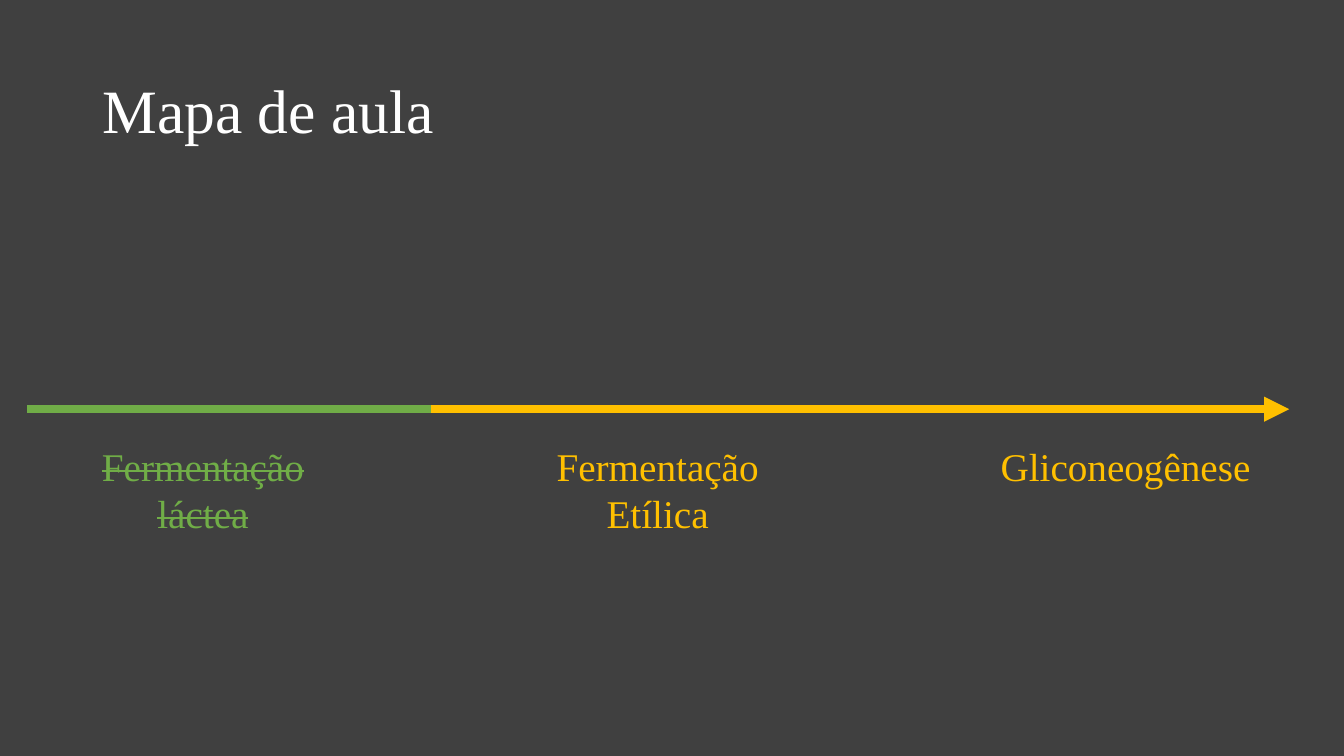
from dataclasses import dataclass

from lxml import etree
from pptx import Presentation
from pptx.dml.color import RGBColor
from pptx.enum.shapes import MSO_CONNECTOR
from pptx.enum.text import MSO_ANCHOR, PP_ALIGN
from pptx.oxml.ns import qn
from pptx.util import Cm, Pt

STRAIGHT = MSO_CONNECTOR.STRAIGHT
MIDDLE, TOP = MSO_ANCHOR.MIDDLE, MSO_ANCHOR.TOP
LEFT, CENTER = PP_ALIGN.LEFT, PP_ALIGN.CENTER


@dataclass(frozen=True)
class Theme:
    background: str = "404040"
    title: str = "FFFFFF"
    done: str = "70AD47"
    pending: str = "FFC000"
    font: str = "Times New Roman"
    title_size: int = 44
    topic_size: int = 28
    line_width: int = 6


THEME = Theme()
TITLE = "Mapa de aula"
TOPICS = [
    {"lines": ["Fermentação láctea"], "done": True, "width": 6.27, "height": 2.64},
    {"lines": ["Fermentação", "Etílica"], "done": False, "width": 6.27, "height": 2.64},
    {"lines": ["Gliconeogênese"], "done": False, "width": 6.93, "height": 1.45},
]
TOPIC_LEFT, TOPIC_TOP, TOPIC_PITCH = 1.98, 11.02, 11.46
LINE_START, LINE_Y = 0.69, 10.31
TIMELINE = [
    {"end": 32.49, "color": THEME.pending, "arrow": True},
    {"end": 10.87, "color": THEME.done, "arrow": False},
]


def add_segment(page, end, color, arrow):
    segment = page.shapes.add_connector(
        STRAIGHT, Cm(LINE_START), Cm(LINE_Y), Cm(end), Cm(LINE_Y))
    segment.line.color.rgb = RGBColor.from_string(color)
    segment.line.width = Pt(THEME.line_width)
    if arrow:
        etree.SubElement(segment.line._get_or_add_ln(), qn("a:tailEnd"), type="triangle")
    etree.SubElement(segment._element.spPr, qn("a:effectLst"))


def add_text(page, place, lines, size, color, align=CENTER, anchor=TOP,
             spacing=1.0, struck=False):
    box = page.shapes.add_textbox(*(Cm(length) for length in place))
    frame = box.text_frame
    frame.word_wrap = True
    frame.vertical_anchor = anchor
    for index, line in enumerate(lines):
        para = frame.add_paragraph() if index else frame.paragraphs[0]
        para.alignment = align
        para.line_spacing = spacing
        span = para.add_run()
        span.text = line
        span.font.name = THEME.font
        span.font.size = Pt(size)
        span.font.color.rgb = RGBColor.from_string(color)
        if struck:
            span._r.get_or_add_rPr().set("strike", "sngStrike")


def main():
    deck = Presentation()
    deck.slide_width, deck.slide_height = Cm(33.87), Cm(19.05)
    page = deck.slides.add_slide(deck.slide_layouts[6])
    page.background.fill.solid()
    page.background.fill.fore_color.rgb = RGBColor.from_string(THEME.background)

    for segment in TIMELINE:
        add_segment(page, **segment)
    for index, topic in enumerate(TOPICS):
        place = (TOPIC_LEFT + index * TOPIC_PITCH, TOPIC_TOP,
                 topic["width"], topic["height"])
        color = THEME.done if topic["done"] else THEME.pending
        add_text(page, place, topic["lines"], THEME.topic_size, color,
                 struck=topic["done"])
    add_text(page, (2.33, 1.01, 29.21, 3.68), [TITLE], THEME.title_size,
             THEME.title, align=LEFT, anchor=MIDDLE, spacing=0.9)

    deck.save("out.pptx")


if __name__ == "__main__":
    main()
